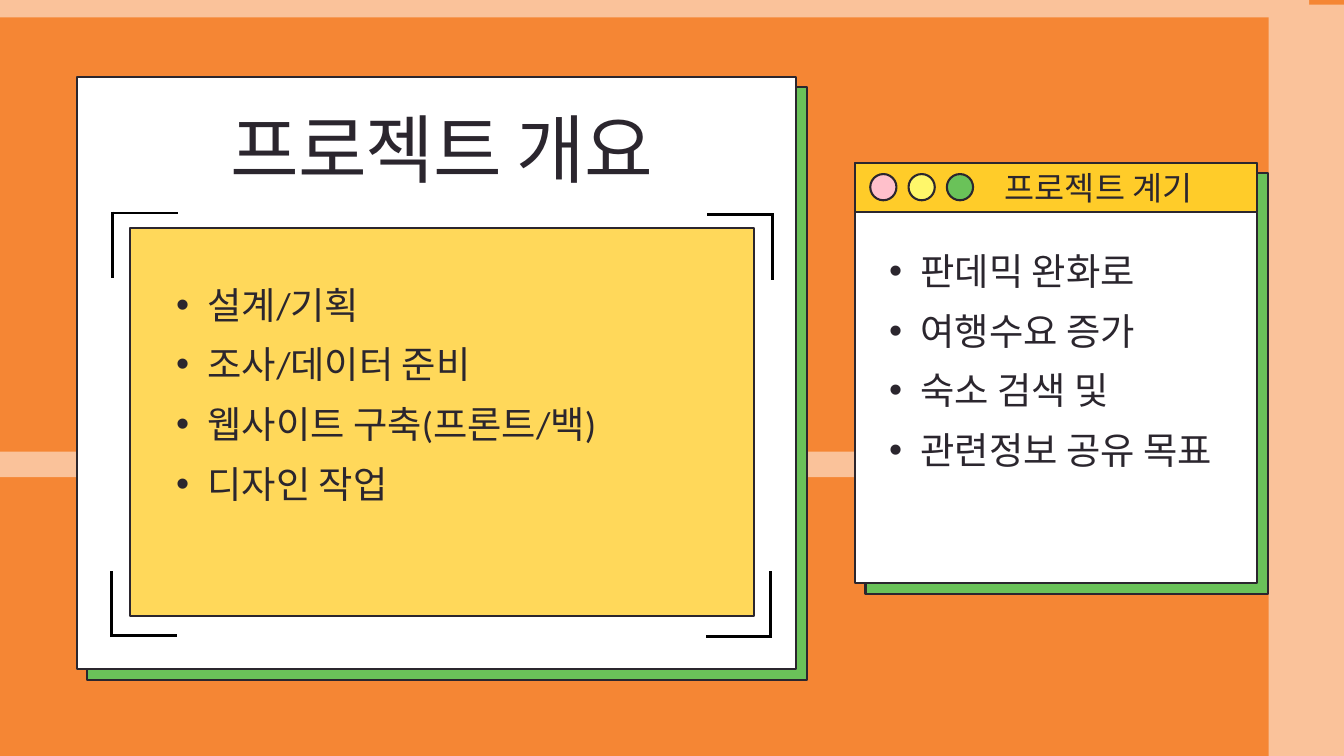
"""Build the project overview slide with two window-style cards."""
from lxml.etree import SubElement
from pptx import Presentation
from pptx.dml.color import RGBColor
from pptx.enum.shapes import MSO_CONNECTOR, MSO_SHAPE
from pptx.enum.text import MSO_ANCHOR, MSO_AUTO_SIZE, PP_ALIGN
from pptx.oxml.ns import qn
from pptx.util import Inches, Pt

ORANGE = RGBColor(0xF5, 0x86, 0x34)
PEACH = RGBColor(0xFA, 0xC2, 0x9A)
INK = RGBColor(0x2B, 0x26, 0x2E)
BLACK = RGBColor(0x00, 0x00, 0x00)
WHITE = RGBColor(0xFF, 0xFF, 0xFF)
GREEN = RGBColor(0x6A, 0xC2, 0x59)
PANEL_YELLOW = RGBColor(0xFF, 0xD8, 0x5A)
BAR_YELLOW = RGBColor(0xFF, 0xCC, 0x29)
PINK = RGBColor(0xFF, 0xC0, 0xCB)
LEMON = RGBColor(0xFF, 0xF7, 0x6A)

FONT = "Calibri"
TITLE = "프로젝트 개요"
TASKS = ["설계/기획", "조사/데이터 준비", "웹사이트 구축(프론트/백)", "디자인 작업"]
MOTIVE_TITLE = "프로젝트 계기"
MOTIVES = ["판데믹 완화로", "여행수요 증가", "숙소 검색 및", "관련정보 공유 목표"]

GRID_BANDS = [(0, 0, 19.48, 0.26), (0, 6.72, 18.88, 0.38), (18.88, 0.07, 1.12, 11.18)]
OVERVIEW_CARD = (1.14, 1.14, 10.71, 8.82)
OVERVIEW_PANEL = (1.94, 3.39, 9.28, 5.78)
MOTIVE_CARD = (12.72, 2.42, 5.99, 6.26)
MOTIVE_BAR = (12.72, 2.42, 5.99, 0.74)
SHADOW_OFFSET = 0.16
OUTLINE = 2.25

DOT_COLORS = [PINK, LEMON, GREEN]
DOT_LEFT, DOT_TOP, DOT_SIZE, DOT_PITCH = 12.95, 2.59, 0.39, 0.57

BRACKETS = [(1.68, 3.17, 1, 1), (11.49, 3.19, -1, 1),
            (11.47, 9.47, -1, -1), (1.66, 9.46, 1, -1)]
ARM, OVERHANG = 0.97, 0.02


def add_block(slide, box, color, outlined=True, preset=MSO_SHAPE.RECTANGLE):
    block = slide.shapes.add_shape(preset, *map(Inches, box))
    block.shadow.inherit = False
    block.fill.solid()
    block.fill.fore_color.rgb = color
    if outlined:
        block.line.color.rgb = INK
        block.line.width = Pt(OUTLINE)
    else:
        block.line.fill.background()


def add_card(slide, box):
    left, top, width, height = box
    add_block(slide, (left + SHADOW_OFFSET, top + SHADOW_OFFSET, width, height), GREEN)
    add_block(slide, box, WHITE)


def add_arm(slide, *ends):
    arm = slide.shapes.add_connector(MSO_CONNECTOR.STRAIGHT, *map(Inches, ends))
    arm.line.color.rgb = BLACK
    arm.line.width = Pt(3)
    SubElement(arm._element.spPr, qn("a:effectLst"))


def add_bracket(slide, x, y, dx, dy):
    add_arm(slide, x - dx * OVERHANG, y, x + dx * ARM, y)
    add_arm(slide, x, y - dy * OVERHANG, x, y + dy * ARM)


def add_bullet(paragraph):
    properties = paragraph._p.get_or_add_pPr()
    properties.set("marL", str(Inches(0.94)))
    properties.set("indent", str(Inches(-0.47)))
    SubElement(properties, qn("a:buFont")).set("typeface", "Arial")
    SubElement(properties, qn("a:buChar")).set("char", "•")


def write(holder, box, lines, size, spacing, align=PP_ALIGN.CENTER, bulleted=False):
    holder.left, holder.top, holder.width, holder.height = map(Inches, box)
    frame = holder.text_frame
    frame.text = "\n".join(lines)
    frame.word_wrap = True
    frame.auto_size = MSO_AUTO_SIZE.NONE
    frame.vertical_anchor = MSO_ANCHOR.TOP
    frame.margin_left = frame.margin_top = frame.margin_right = frame.margin_bottom = 0
    for paragraph in frame.paragraphs:
        if bulleted:
            add_bullet(paragraph)
        paragraph.alignment = align
        paragraph.line_spacing = Pt(spacing)
        paragraph.space_before = Pt(0)
        for run in paragraph.runs:
            run.font.name = FONT
            run.font.size = Pt(size)
            run.font.color.rgb = INK


def main():
    deck = Presentation()
    deck.slide_width, deck.slide_height = Inches(20), Inches(11.25)
    slide = deck.slides.add_slide(deck.slide_layouts[3])
    slide.background.fill.solid()
    slide.background.fill.fore_color.rgb = ORANGE
    title, tasks, motives = slide.placeholders

    for band in GRID_BANDS:
        add_block(slide, band, PEACH, outlined=False)
    add_card(slide, OVERVIEW_CARD)
    add_block(slide, OVERVIEW_PANEL, PANEL_YELLOW)
    add_card(slide, MOTIVE_CARD)
    add_block(slide, MOTIVE_BAR, BAR_YELLOW)
    for index, color in enumerate(DOT_COLORS):
        dot = (DOT_LEFT + index * DOT_PITCH, DOT_TOP, DOT_SIZE, DOT_SIZE)
        add_block(slide, dot, color, preset=MSO_SHAPE.OVAL)
    for bracket in BRACKETS:
        add_bracket(slide, *bracket)

    for holder in (tasks, title, motives):
        slide.shapes._spTree.append(holder._element)
    write(tasks, (2.15, 3.97, 8.9, 4.39), TASKS, 40, 64, PP_ALIGN.LEFT, True)
    write(title, (1.66, 1.64, 9.83, 1.26), [TITLE], 80, 88)
    title.text_frame.paragraphs[0].runs[0].font._element.set("spc", "-120")
    write(motives, (12.76, 3.47, 5.9, 4.39), MOTIVES, 40, 64, PP_ALIGN.LEFT, True)
    motive_title = slide.shapes.add_textbox(0, 0, 0, 0)
    write(motive_title, (13.34, 2.45, 6.02, 0.63), [MOTIVE_TITLE], 35, 45.5)

    deck.save("out.pptx")


if __name__ == "__main__":
    main()
